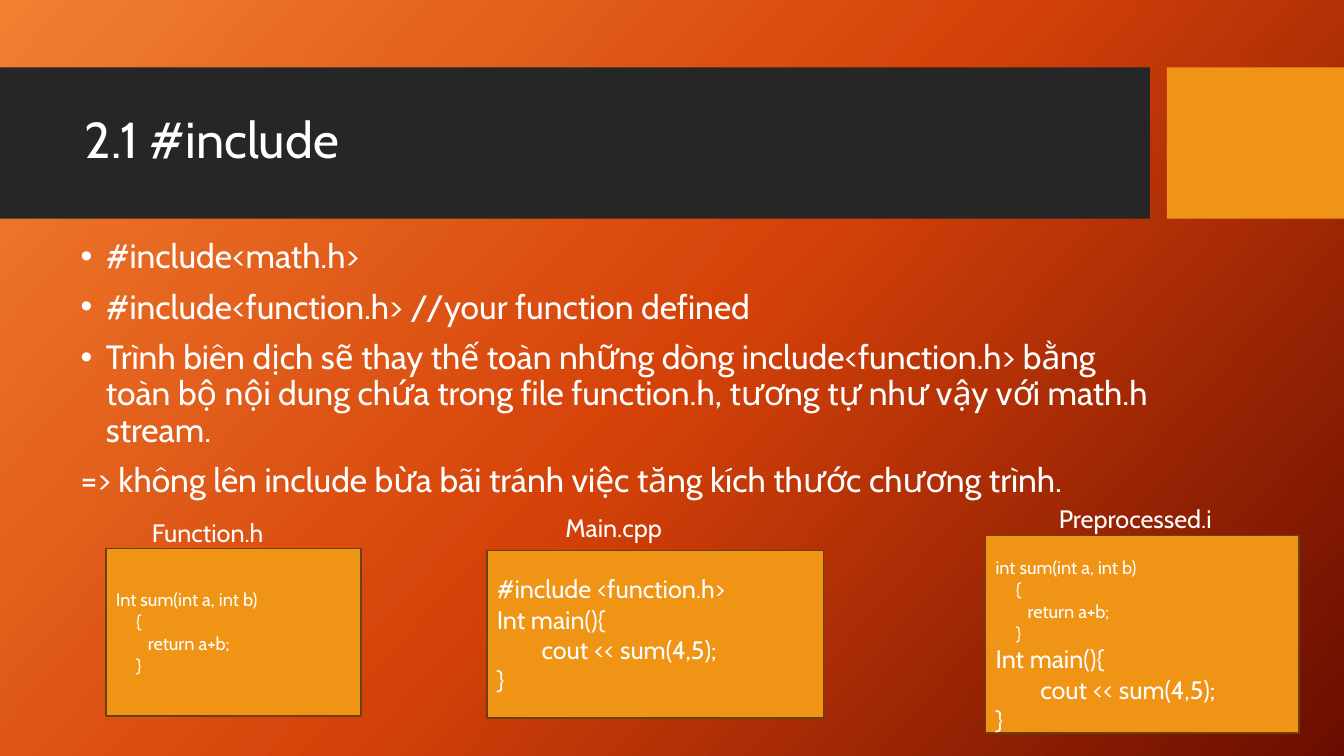
from copy import deepcopy

from lxml import etree
from pptx import Presentation
from pptx.dml.color import RGBColor
from pptx.enum.shapes import MSO_SHAPE
from pptx.enum.text import MSO_ANCHOR, PP_ALIGN
from pptx.oxml.ns import qn
from pptx.util import Cm, Pt

RECT = MSO_SHAPE.RECTANGLE
TOP, MIDDLE = MSO_ANCHOR.TOP, MSO_ANCHOR.MIDDLE
LEFT, CENTER = PP_ALIGN.LEFT, PP_ALIGN.CENTER
FONT, WHITE, DARK, AMBER, BROWN = "Cabin", "FFFFFF", "262626", "F09415", "694109"


def color(code):
    return RGBColor.from_string(code)


def write(shape, lines, anchor=TOP, align=LEFT, spacing=None, before=0):
    """Fill a shape with lines of (text, size, indent in cm, bullet)."""
    frame = shape.text_frame
    frame.word_wrap = True
    frame.vertical_anchor = anchor
    for i, (text, size, indent, bullet) in enumerate(lines):
        para = frame.add_paragraph() if i else frame.paragraphs[0]
        para.alignment = align
        para.space_before = Pt(before)
        if spacing:
            para.line_spacing = spacing
        run = para.add_run()
        run.text = text
        run.font.size = Pt(size)
        run.font.name = FONT
        run.font.color.rgb = color(WHITE)
        props = para._p.get_or_add_pPr()
        props.set("marL", str(Cm(indent)))
        props.set("indent", str(-Cm(indent) if bullet else 0))
        if bullet:
            etree.SubElement(props, qn("a:buFont")).set("typeface", "Arial")
            etree.SubElement(props, qn("a:buChar")).set("char", bullet)


deck = Presentation()
deck.slide_width, deck.slide_height = Cm(33.87), Cm(19.05)
slide = deck.slides.add_slide(deck.slide_layouts[5])
shapes = slide.shapes

# Background gradient with three stops
fill = slide.background.fill
fill.gradient()
fill.gradient_angle = 318
stops = slide.element.find(".//" + qn("a:gsLst"))
stops.insert(1, deepcopy(stops[0]))
for stop, place, code in zip(fill.gradient_stops, (0, 0.5, 1), ("F18031", "D54209", "6A0D00")):
    stop.position = place
    stop.color.rgb = color(code)

# Title band
for left, width, code in ((0, 28.98, DARK), (29.41, 4.46, AMBER)):
    band = shapes.add_shape(RECT, Cm(left), Cm(1.7), Cm(width), Cm(3.81))
    band.shadow.inherit = False
    band.fill.solid()
    band.fill.fore_color.rgb = color(code)
    band.line.fill.background()

title = shapes.title
title.left, title.top, title.width, title.height = Cm(1.88), Cm(2.08), Cm(26.7), Cm(3)
write(title, [("2.1 #include", 36, 0, None)], anchor=MIDDLE, spacing=0.9)
shapes._spTree.append(title._element)

# Explanation
body = shapes.add_textbox(Cm(1.78), Cm(5.92), Cm(27.69), Cm(10))
write(body, [
    ("#include<math.h>", 24, 0.64, "•"),
    ("#include<function.h> //your function defined", 24, 0.64, "•"),
    ("Trình biên dịch sẽ thay thế toàn những dòng include<function.h> bằng toàn bộ "
     "nội dung chứa trong file function.h, tương tự như vậy với math.h stream.", 24, 0.64, "•"),
    ("=> không lên include bừa bãi tránh việc tăng kích thước chương trình.", 24, 0, None),
], spacing=0.9, before=10)

# Code boxes with their file names
block = [("{", 13, 0.51, None), ("return a+b;", 13, 0.81, None), ("}", 13, 0.51, None)]
main = [("Int main(){", 18, 0, None), ("cout << sum(4,5);", 18, 1.13, None), ("}", 18, 0, None)]
files = [
    ("Function.h", (3.58, 12.9, 7.62), LEFT, (2.67, 13.82, 6.43, 4.22), 0.13,
     [("Int sum(int a, int b)", 13, 0, None)] + block),
    ("Main.cpp", (14, 12.78, 7.62), LEFT, (12.27, 13.87, 8.48, 4.22), 0.13,
     [("#include <function.h>", 18, 0, None)] + main),
    ("Preprocessed.i", (24.56, 12.55, 8.1), CENTER, (24.84, 13.49, 7.9, 4.98), 0.69,
     [("int sum(int a, int b)", 13, 0, None)] + block + main),
]
for name, spot, align, area, inset, code in files:
    box = shapes.add_shape(RECT, *map(Cm, area))
    box.shadow.inherit = False
    box.fill.solid()
    box.fill.fore_color.rgb = color(AMBER)
    box.line.color.rgb = color(BROWN)
    box.line.width = Pt(1)
    box.text_frame.margin_top = Cm(inset)
    write(box, code, anchor=MIDDLE)
    label = shapes.add_textbox(*map(Cm, spot), Cm(1.02))
    write(label, [(name, 18, 0, None)], align=align)

deck.save("out.pptx")
